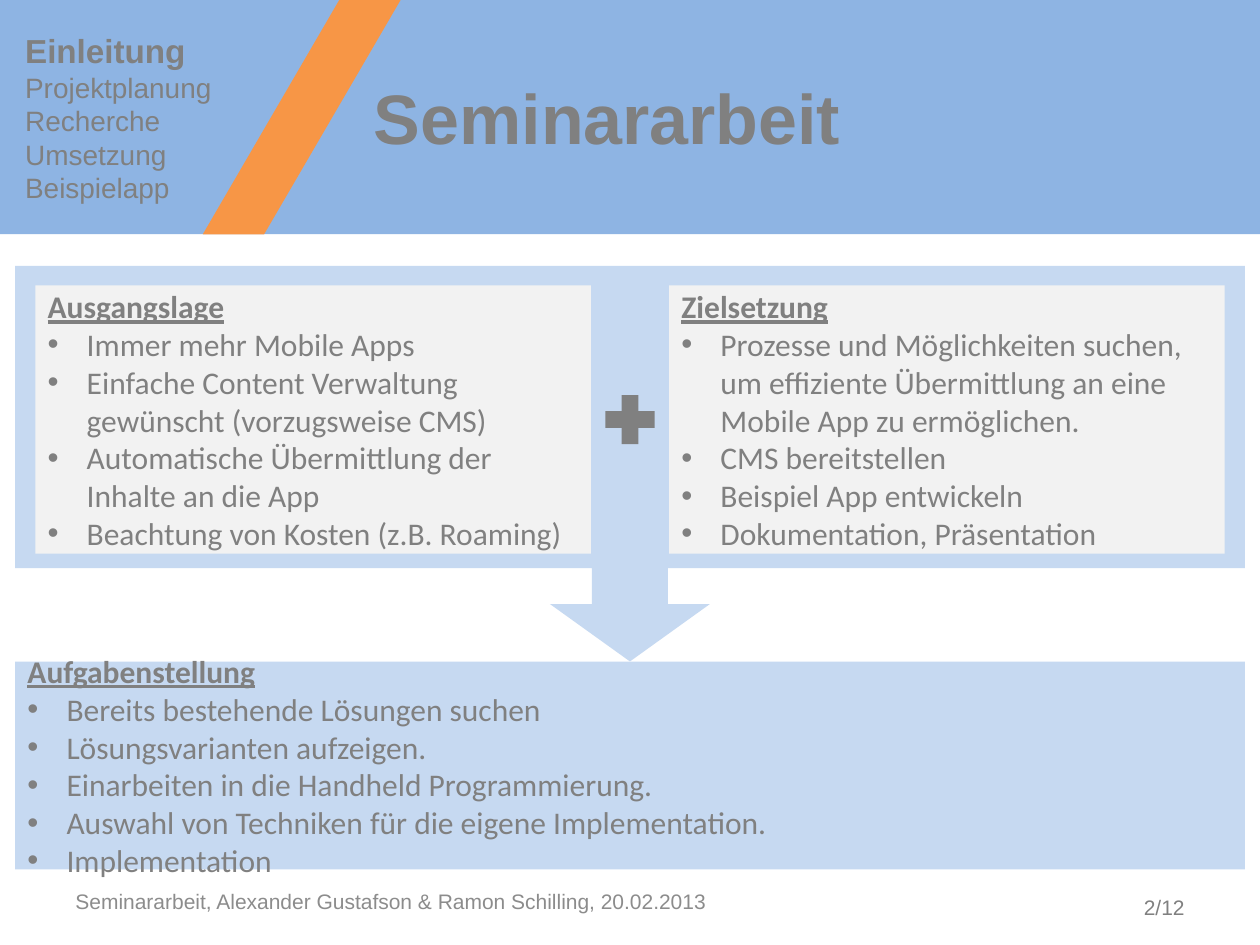
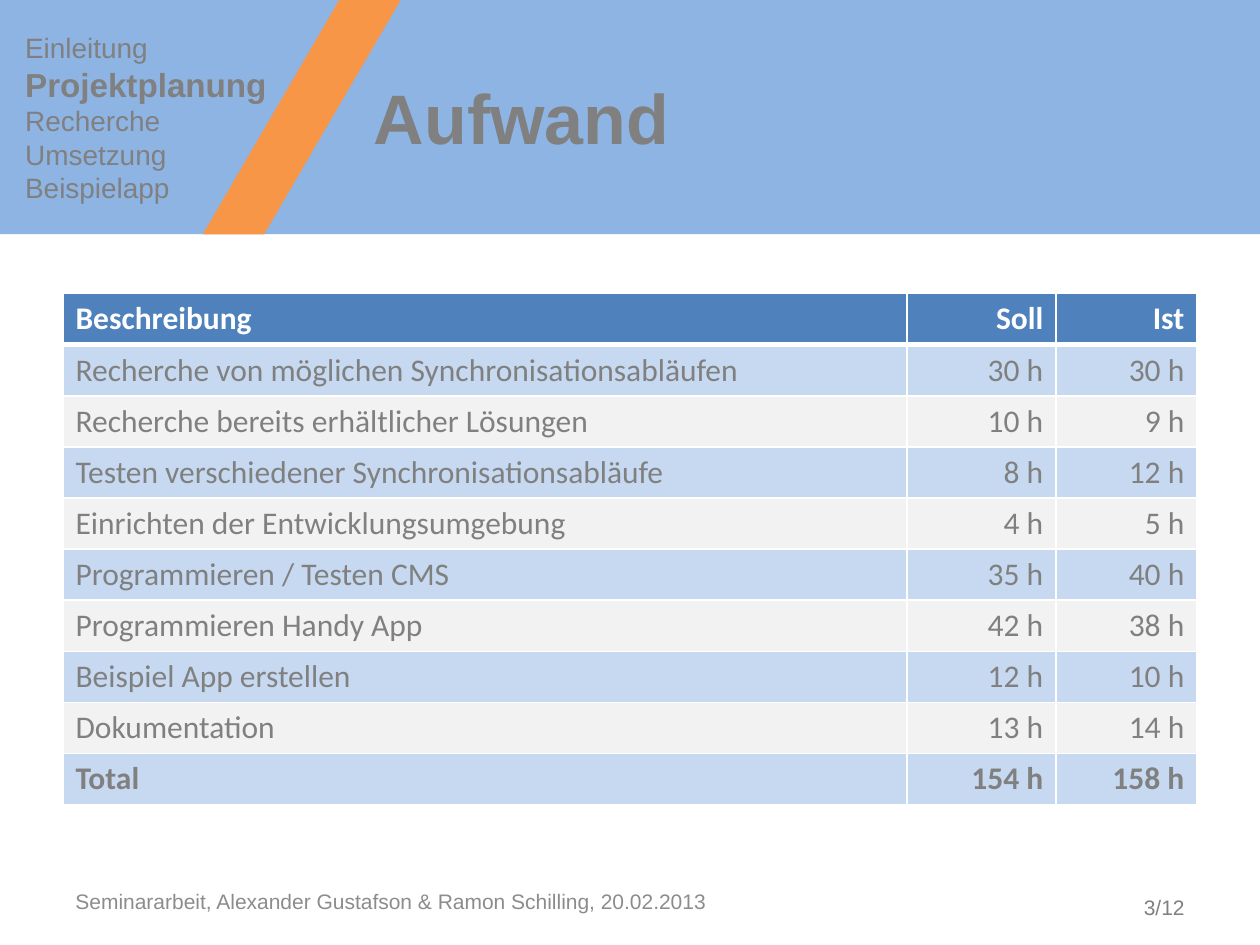
from lxml.etree import SubElement
from pptx import Presentation
from pptx.dml.color import RGBColor
from pptx.enum.shapes import MSO_SHAPE
from pptx.enum.text import MSO_ANCHOR, PP_ALIGN
from pptx.oxml.ns import qn
from pptx.util import Inches, Pt

WIDTH, HEIGHT = Inches(10), Inches(7.5)
BLUE, ORANGE, PALE_BLUE, PALE_GREY = "8EB4E3", "F79646", "C6D9F1", "F2F2F2"
HEADER_BLUE, WHITE, GREY, FOOTER_GREY = "4F81BD", "FFFFFF", "808080", "8C8C8C"

TITLE = {"name": "Arial", "size": Pt(40), "bold": True}
CHAPTER = {"name": "Arial", "size": Pt(16), "bold": False}
CURRENT_CHAPTER = {"name": "Arial", "size": Pt(19), "bold": True}
FOOTER = {"name": "Arial", "size": Pt(12)}
BODY = {"name": "Calibri", "size": Pt(18), "bold": False}
STRONG = {**BODY, "bold": True}
HEADING = {**STRONG, "underline": True}

MIDDLE = {"word_wrap": True, "vertical_anchor": MSO_ANCHOR.MIDDLE}
TOP = {"word_wrap": True, "vertical_anchor": MSO_ANCHOR.TOP}
FLUSH = {**TOP, "margin_left": 0, "margin_right": 0, "margin_top": 0, "margin_bottom": 0}

CHAPTERS = ["Einleitung", "Projektplanung", "Recherche", "Umsetzung", "Beispielapp"]
PAGE_COUNT = 12
CREDIT = "Seminararbeit, Alexander Gustafson & Ramon Schilling, 20.02.2013"

BAND_HEIGHT = 24.8
MARGIN = 1.2
GOAL_TOP, TASK_TOP = 28.13, 70
PANEL_LEFT, PANEL_TOP, PANEL_WIDTH, PANEL_HEIGHT = 2.8, 30.2, 44.1, 28.4
PLUS_WIDTH, PLUS_HEIGHT = 3.9, 5.2

SITUATION = ["Immer mehr Mobile Apps",
             "Einfache Content Verwaltung gewünscht (vorzugsweise CMS)",
             "Automatische Übermittlung der Inhalte an die App",
             "Beachtung von Kosten (z.B. Roaming)"]
GOALS = ["Prozesse und Möglichkeiten suchen, um effiziente Übermittlung an eine "
         "Mobile App zu ermöglichen.",
         "CMS bereitstellen", "Beispiel App entwickeln", "Dokumentation, Präsentation"]
TASKS = ["Bereits bestehende Lösungen suchen", "Lösungsvarianten aufzeigen.",
         "Einarbeiten in die Handheld Programmierung.",
         "Auswahl von Techniken für die eigene Implementation.", "Implementation"]
EFFORT = [("Recherche von möglichen Synchronisationsabläufen", 30, 30),
          ("Recherche bereits erhältlicher Lösungen", 10, 9),
          ("Testen verschiedener Synchronisationsabläufe", 8, 12),
          ("Einrichten der Entwicklungsumgebung", 4, 5),
          ("Programmieren / Testen CMS", 35, 40),
          ("Programmieren Handy App", 42, 38),
          ("Beispiel App erstellen", 12, 10),
          ("Dokumentation", 13, 14)]
EFFORT_COLUMNS = [67, 11.8, 11.2]
EFFORT_ROW = 5.41


def rgb(value):
    """Turn a hex string into a colour."""
    return RGBColor.from_string(value)


def across(share):
    """Return a percentage of the slide's width."""
    return int(WIDTH * share / 100)


def down(share):
    """Return a percentage of the slide's height."""
    return int(HEIGHT * share / 100)


def place(left, top, width, height):
    """Convert a box in percent of the slide into lengths."""
    return across(left), down(top), across(width), down(height)


def apply(target, values):
    """Set every format value on the target."""
    for key, value in values.items():
        setattr(target, key, value)


def write(paragraph, text, style, colour=GREY, align=PP_ALIGN.LEFT):
    """Fill a paragraph with one styled run."""
    paragraph.alignment = align
    run = paragraph.add_run()
    run.text = text
    apply(run.font, style)
    run.font.color.rgb = rgb(colour)


def next_paragraph(frame):
    """Return the first paragraph while it is empty, else a new one."""
    first = frame.paragraphs[0]
    return frame.add_paragraph() if first.runs else first


def add_bullet(paragraph):
    """Give a paragraph a hanging round bullet."""
    indent = Inches(0.31)
    properties = paragraph._p.get_or_add_pPr()
    properties.set("marL", str(indent))
    properties.set("indent", str(-indent))
    SubElement(properties, qn("a:buFont"), typeface="Arial")
    SubElement(properties, qn("a:buChar"), char="•")


def add_figure(slide, kind, box, colour, adjustments=()):
    """Draw a flat preset shape without outline."""
    figure = slide.shapes.add_shape(kind, *place(*box))
    figure.shadow.inherit = False
    figure.fill.solid()
    figure.fill.fore_color.rgb = rgb(colour)
    figure.line.fill.background()
    for index, value in enumerate(adjustments):
        figure.adjustments[index] = value
    return figure


def add_text(slide, box, lines, layout, colour=GREY, align=PP_ALIGN.LEFT):
    """Add a text box from pairs of text and style."""
    frame = slide.shapes.add_textbox(*place(*box)).text_frame
    apply(frame, layout)
    for text, style in lines:
        write(next_paragraph(frame), text, style, colour, align)


def add_panel(slide, box, colour, heading, points):
    """Add a filled panel with an underlined heading and bullets."""
    frame = add_figure(slide, MSO_SHAPE.RECTANGLE, box, colour).text_frame
    apply(frame, MIDDLE)
    write(next_paragraph(frame), heading, HEADING)
    for point in points:
        paragraph = next_paragraph(frame)
        write(paragraph, point, BODY)
        add_bullet(paragraph)


def add_page(deck, number, chapter, title):
    """Add a slide with band, chapter list, title and footer."""
    slide = deck.slides.add_slide(deck.slide_layouts[6])
    add_figure(slide, MSO_SHAPE.RECTANGLE, (0, 0, 100, BAND_HEIGHT), BLUE)
    add_figure(slide, MSO_SHAPE.PARALLELOGRAM, (16.1, 0, 15.7, BAND_HEIGHT), ORANGE, [0.69])
    add_text(slide, (5, 92.67, 63.9, 5.33), [(CREDIT, FOOTER)], MIDDLE, FOOTER_GREY)
    add_text(slide, (84.8, 94, 10.2, 4), [(f"{number}/{PAGE_COUNT}", FOOTER)], TOP,
             align=PP_ALIGN.RIGHT)
    chapters = [(name, CURRENT_CHAPTER if name == chapter else CHAPTER) for name in CHAPTERS]
    add_text(slide, (2, 3.2, 19.7, 20), chapters, FLUSH)
    add_text(slide, (28.7, 4, 56.7, 16.67), [(title, TITLE)], MIDDLE)
    return slide


def add_border(cell, side, points):
    """Draw a white border on one side of a cell."""
    border = SubElement(cell._tc.get_or_add_tcPr(), qn(f"a:ln{side}"), w=str(Pt(points)))
    fill = SubElement(border, qn("a:solidFill"))
    SubElement(fill, qn("a:srgbClr"), val=WHITE)


def fill_row(table, index, texts, style, fill, colour=GREY):
    """Write, border and fill one table row."""
    thick_side = {0: "B", 1: "T"}.get(index)
    for column, text in enumerate(texts):
        cell = table.cell(index, column)
        write(cell.text_frame.paragraphs[0], text, style, colour,
              PP_ALIGN.RIGHT if column else PP_ALIGN.LEFT)
        for side in "LRTB":
            add_border(cell, side, 3 if side == thick_side else 1)
        cell.fill.solid()
        cell.fill.fore_color.rgb = rgb(fill)


def add_effort_table(slide):
    """Add the table of planned and actual hours with its total."""
    totals = [sum(hours) for hours in list(zip(*EFFORT))[1:]]
    records = [*EFFORT, ("Total", *totals)]
    row_count = len(records) + 1
    box = place(5, 31.07, sum(EFFORT_COLUMNS), EFFORT_ROW * row_count)
    table = slide.shapes.add_table(row_count, len(EFFORT_COLUMNS), *box).table
    for column, share in zip(table.columns, EFFORT_COLUMNS):
        column.width = across(share)
    for row in table.rows:
        row.height = down(EFFORT_ROW)
    fill_row(table, 0, ["Beschreibung", "Soll", "Ist"], STRONG, HEADER_BLUE, WHITE)
    for index, (task, *hours) in enumerate(records, 1):
        fill_row(table, index, [task, *(f"{value} h" for value in hours)],
                 STRONG if task == "Total" else BODY,
                 PALE_BLUE if index % 2 else PALE_GREY)


def add_assignment(slide):
    """Show how situation and goals lead to the tasks."""
    full_width = 100 - 2 * MARGIN
    add_figure(slide, MSO_SHAPE.DOWN_ARROW_CALLOUT,
               (MARGIN, GOAL_TOP, full_width, TASK_TOP - GOAL_TOP), PALE_BLUE,
               [0.192, 0.202, 0.145, 0.764])
    add_panel(slide, (MARGIN, TASK_TOP, full_width, 22), PALE_BLUE, "Aufgabenstellung", TASKS)
    mirrored_left = 100 - PANEL_LEFT - PANEL_WIDTH
    for left, heading, points in [(PANEL_LEFT, "Ausgangslage", SITUATION),
                                  (mirrored_left, "Zielsetzung", GOALS)]:
        add_panel(slide, (left, PANEL_TOP, PANEL_WIDTH, PANEL_HEIGHT), PALE_GREY,
                  heading, points)
    plus_top = PANEL_TOP + (PANEL_HEIGHT - PLUS_HEIGHT) / 2
    add_figure(slide, MSO_SHAPE.CROSS,
               (50 - PLUS_WIDTH / 2, plus_top, PLUS_WIDTH, PLUS_HEIGHT), GREY, [0.33])


def main():
    """Build and save the presentation."""
    deck = Presentation()
    apply(deck, {"slide_width": WIDTH, "slide_height": HEIGHT})
    add_assignment(add_page(deck, 2, "Einleitung", "Seminararbeit"))
    add_effort_table(add_page(deck, 3, "Projektplanung", "Aufwand"))
    deck.save("out.pptx")


if __name__ == "__main__":
    main()
